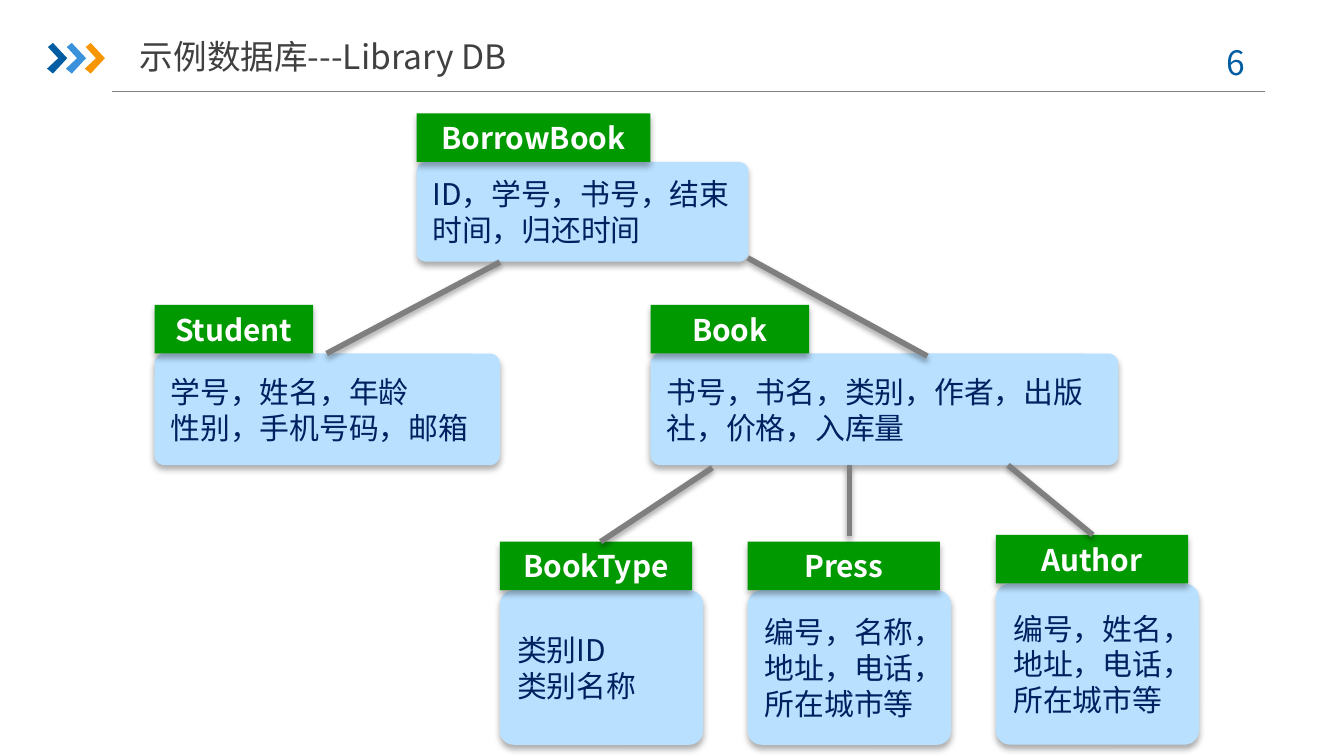
from lxml import etree
from pptx import Presentation
from pptx.dml.color import RGBColor
from pptx.enum.shapes import MSO_CONNECTOR, MSO_SHAPE
from pptx.enum.text import MSO_ANCHOR, MSO_AUTO_SIZE, PP_ALIGN
from pptx.oxml.ns import qn
from pptx.util import Pt

RECTANGLE, ROUNDED = MSO_SHAPE.RECTANGLE, MSO_SHAPE.ROUNDED_RECTANGLE
STRAIGHT = MSO_CONNECTOR.STRAIGHT
TOP, MIDDLE = MSO_ANCHOR.TOP, MSO_ANCHOR.MIDDLE
LEFT, CENTER = PP_ALIGN.LEFT, PP_ALIGN.CENTER
FIXED = MSO_AUTO_SIZE.NONE

HEADER_HEIGHT = 26
CHEVRON = [(0.5, 2.2), (3.2, 0), (10.8, 8.2), (3.2, 16.4), (0, 13.8), (6, 8.2)]

# name, left, top, header width, body width, body height, fields
ENTITIES = [
    ("Student", 82.8, 163.4, 85, 185, 59.8, "学号，姓名，年龄\n性别，手机号码，邮箱"),
    ("Book", 348.5, 163.4, 85, 250.6, 59.8,
     "书号，书名，类别，作者，出版社，价格，入库量"),
    ("BookType", 267.8, 290.2, 103, 108.9, 82.8, "类别ID\n类别名称"),
    ("Press", 400.6, 290.2, 103, 108.9, 82.8, "编号，名称，地址，电话，所在城市等"),
    ("Author", 533.5, 286.6, 103, 108.9, 86.4, "编号，姓名，地址，电话，所在城市等"),
    ("BorrowBook", 223.2, 60.8, 125.3, 177.8, 53.4,
     "ID，学号，书号，结束时间，归还时间"),
]
RELATIONS = [
    (175, 189.4, 267.8, 140.4),
    (400.6, 138.2, 496.8, 190.8),
    (540, 249.2, 585.4, 286.6),
    (321.8, 290.2, 381.6, 250.6),
    (455, 249.2, 455, 287.3),
]


def color(value):
    return RGBColor.from_string(value)


def add_shadow(shape, blur, distance, opacity):
    """Append a black shadow that falls straight down."""
    effects = etree.SubElement(shape._element.spPr, qn("a:effectLst"))
    shadow = etree.SubElement(
        effects, qn("a:outerShdw"), blurRad=str(Pt(blur)), dist=str(Pt(distance)),
        dir="5400000", rotWithShape="0")
    black = etree.SubElement(shadow, qn("a:srgbClr"), val="000000")
    etree.SubElement(black, qn("a:alpha"), val=str(opacity * 1000))


class Diagram:
    font = "Noto Sans CJK SC"
    green, pale_blue, navy = "009900", "B9E1FF", "002060"
    blue, gray, white = "005DA2", "7F7F7F", "FFFFFF"

    def __init__(self, page):
        self.page = page
        self.shapes = page.shapes

    def set_text(self, shape, text, size, ink, align=LEFT, anchor=MIDDLE, bold=False):
        frame = shape.text_frame
        frame.text = text
        frame.word_wrap = True
        frame.vertical_anchor = anchor
        for para in frame.paragraphs:
            para.alignment = align
            for span in para.runs:
                span.font.name = self.font
                span.font.size = Pt(size)
                span.font.bold = bold
                span.font.color.rgb = color(ink)
                east_asian = etree.SubElement(span.font._element, qn("a:ea"))
                east_asian.set("typeface", self.font)

    def title(self, text, left, top, width, height):
        box = self.shapes.title
        box.left, box.top, box.width, box.height = map(Pt, (left, top, width, height))
        self.set_text(box, text, 18, "404040", CENTER)
        box.text_frame.auto_size = FIXED
        box.text_frame.margin_left = box.text_frame.margin_right = 0

    def page_number(self, text, left, top, width, height):
        box = self.shapes.add_textbox(*map(Pt, (left, top, width, height)))
        self.set_text(box, text, 18, self.blue, CENTER, TOP)

    def line(self, x1, y1, x2, y2, ink, width):
        line = self.shapes.add_connector(STRAIGHT, *map(Pt, (x1, y1, x2, y2)))
        line.line.color.rgb = color(ink)
        line.line.width = Pt(width)
        return line

    def rule(self, x1, x2, y):
        line = self.line(x1, y, x2, y, "808080", 0.75)
        etree.SubElement(line._element.spPr, qn("a:effectLst"))

    def relation(self, x1, y1, x2, y2):
        add_shadow(self.line(x1, y1, x2, y2, self.gray, 3), 3.1, 1.8, 35)

    def chevron(self, left, top, fill):
        points = [(Pt(left + x), Pt(top + y)) for x, y in CHEVRON]
        builder = self.shapes.build_freeform(*points[0])
        builder.add_line_segments(points[1:], close=True)
        shape = builder.convert_to_shape()
        shape.fill.solid()
        shape.fill.fore_color.rgb = color(fill)
        shape.line.fill.background()
        shape.shadow.inherit = False

    def panel(self, kind, left, top, width, height, fill):
        shape = self.shapes.add_shape(kind, *map(Pt, (left, top, width, height)))
        shape.fill.solid()
        shape.fill.fore_color.rgb = color(fill)
        shape.line.fill.background()
        add_shadow(shape, 3.5, 2.2, 32)
        return shape

    def entity(self, name, left, top, header_width, width, height, fields):
        """Draw a field box with its name tab on top."""
        body = self.panel(ROUNDED, left, top + HEADER_HEIGHT, width, height,
                          self.pale_blue)
        body.adjustments[0] = 0.09
        self.set_text(body, fields, 16, self.navy)
        header = self.panel(RECTANGLE, left, top, header_width, HEADER_HEIGHT,
                            self.green)
        self.set_text(header, name, 16, self.white, CENTER, bold=True)


def main():
    deck = Presentation()
    deck.slide_width, deck.slide_height = Pt(720), Pt(405)
    diagram = Diagram(deck.slides.add_slide(deck.slide_layouts[5]))

    diagram.rule(59.8, 677.5, 49.2)
    for index, fill in enumerate(("005DA2", "3992DB", "F79600")):
        diagram.chevron(25.2 + 10.1 * index, 23, fill)
    diagram.page_number("6", 636, 18.7, 52.6, 28.8)
    diagram.title("示例数据库---Library DB", 54, 15.1, 238.3, 30.2)

    for entity in ENTITIES:
        diagram.entity(*entity)
    for relation in RELATIONS:
        diagram.relation(*relation)
    deck.save("out.pptx")


if __name__ == "__main__":
    main()
